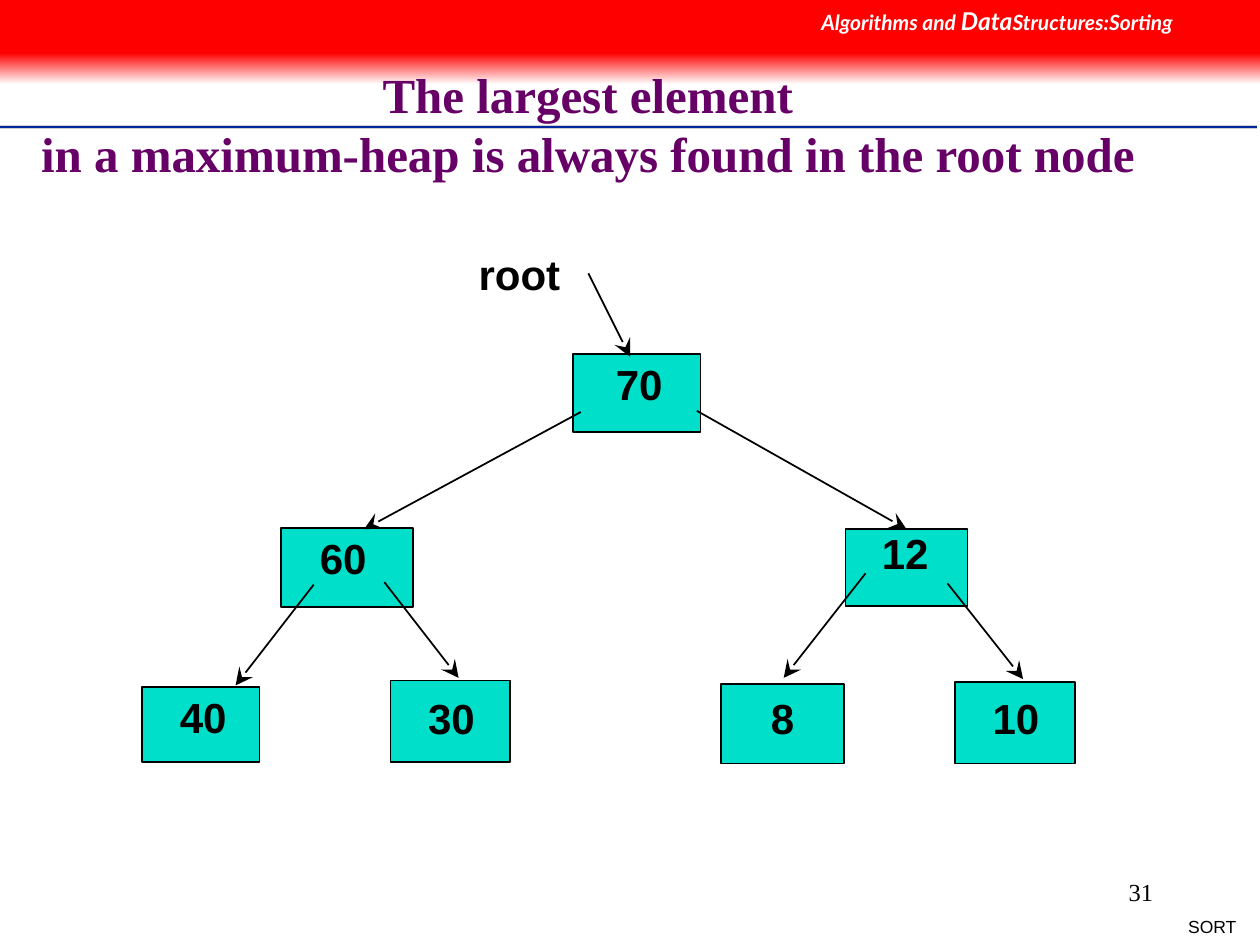
"""Build the slide on the root of a maximum heap."""
import pptx
import pptx.dml.color
import pptx.enum.shapes
import pptx.enum.text
import pptx.oxml
import pptx.oxml.ns
import pptx.util
from pptx.util import Inches

COLORS = {
    "black": "000000", "white": "FFFFFF", "red": "FF0000", "node": "00DFCA",
    "title": "660066", "rule": "00279F", "rule_shade": "CECECE",
}
ALIGN = pptx.enum.text.PP_ALIGN
ANCHOR = pptx.enum.text.MSO_ANCHOR


def rgb(name):
    return pptx.dml.color.RGBColor.from_string(COLORS[name])


class HeapSlide:
    def __init__(self, slide):
        self.slide = slide
        self.shapes = slide.shapes

    def format_run(self, run, size, font="Arial", color="black", bold=False, italic=False):
        run.font.size = pptx.util.Pt(size)
        run.font.name = font
        run.font.color.rgb = rgb(color)
        run.font.bold = bold
        run.font.italic = italic

    def title(self, text, place):
        heading = self.shapes.title
        self.shapes._spTree.append(heading._element)
        heading.left, heading.top, heading.width, heading.height = map(Inches, place)
        frame = heading.text_frame
        frame.text = text
        frame.word_wrap = True
        frame.auto_size = pptx.enum.text.MSO_AUTO_SIZE.NONE
        frame.vertical_anchor = ANCHOR.BOTTOM
        frame.paragraphs[0].alignment = ALIGN.CENTER
        for run in frame.paragraphs[0].runs:
            self.format_run(run, 28, "Times New Roman", "title", bold=True)

    def text(self, pieces, place, align=ALIGN.LEFT, anchor=ANCHOR.TOP, **style):
        frame = self.shapes.add_textbox(*map(Inches, place)).text_frame
        frame.word_wrap = True
        frame.vertical_anchor = anchor
        paragraph = frame.paragraphs[0]
        paragraph.alignment = align
        for words, size in pieces:
            run = paragraph.add_run()
            run.text = words
            self.format_run(run, size, **style)

    def rectangle(self, place, fill, outline=None, fade_to=None):
        box = self.shapes.add_shape(
            pptx.enum.shapes.MSO_SHAPE.RECTANGLE, *map(Inches, place))
        box.shadow.inherit = False
        if fade_to:
            box.fill.gradient()
            box.fill.gradient_angle = 270
            for stop, color in zip(box.fill.gradient_stops, (fill, fade_to)):
                stop.color.rgb = rgb(color)
                stop.position = 0 if color == fill else 1
        else:
            box.fill.solid()
            box.fill.fore_color.rgb = rgb(fill)
        if outline:
            box.line.color.rgb = rgb(outline)
            box.line.width = pptx.util.Pt(1)
        else:
            box.line.fill.background()
        return box

    def node(self, value, place, label_at):
        box = self.rectangle(place, "node", "black")
        self.text([(value, 24)], (*label_at, 0.67, 0.5), bold=True)
        return box

    def line(self, start, end, color="black", width=1, arrow=False):
        connector = self.shapes.add_connector(
            pptx.enum.shapes.MSO_CONNECTOR.STRAIGHT, *map(Inches, (*start, *end)))
        connector.line.color.rgb = rgb(color)
        connector.line.width = pptx.util.Pt(width)
        if arrow:
            tip = pptx.oxml.parse_xml(
                f'<a:tailEnd {pptx.oxml.ns.nsdecls("a")} type="stealth" w="lg" len="lg"/>')
            connector.line._get_or_add_ln().append(tip)
        connector._element.spPr.append(
            pptx.oxml.parse_xml(f'<a:effectLst {pptx.oxml.ns.nsdecls("a")}/>'))
        return connector


def main():
    deck = pptx.Presentation()
    deck.slide_width, deck.slide_height = Inches(10), Inches(7.5)
    heap = HeapSlide(deck.slides.add_slide(deck.slide_layouts[5]))

    for y, color, width in [(1.01, "rule_shade", 2), (1.01, "rule", 1), (1.03, "white", 1)]:
        heap.line((0, y), (9.98, y), color, width)
    heap.rectangle((0, 0.42, 10, 0.25), "red", fade_to="white")
    heap.rectangle((0, 0, 10, 0.42), "red")
    heap.text([("Algorithms and ", 12), ("Data", 14), ("Structures:Sorting", 12)],
              (6.42, 0, 3.58, 0.34), font="Lato", color="white", bold=True, italic=True)
    heap.text([("SORT", 10)], (9.22, 7.22, 0.69, 0.27), ALIGN.RIGHT)
    heap.text([("31", 14)], (7.17, 6.83, 2.08, 0.5), ALIGN.RIGHT, ANCHOR.MIDDLE,
              font="Times New Roman")
    heap.title("The largest element\vin a maximum-heap is always found in the root node",
               (0.01, 0.25, 9.31, 1.25))

    nodes = {
        value: heap.node(value, place, label_at)
        for value, place, label_at in [
            ("70", (4.55, 2.81, 1.01, 0.62), (4.79, 2.8)),
            ("60", (2.23, 4.19, 1.05, 0.63), (2.44, 4.18)),
            ("12", (6.71, 4.2, 0.97, 0.61), (6.9, 4.14)),
            ("40", (1.13, 5.45, 0.93, 0.6), (1.33, 5.44)),
            ("30", (3.1, 5.4, 0.95, 0.65), (3.3, 5.45)),
            ("8", (5.72, 5.43, 0.98, 0.63), (6.02, 5.45)),
            ("10", (7.58, 5.41, 0.95, 0.65), (7.78, 5.45)),
        ]
    }

    heap.text([("root", 24)], (3.7, 1.92, 1.05, 0.5), bold=True)
    for start, end in [
        ((4.67, 2.17), (5, 2.83)),
        ((4.61, 3.27), (2.89, 4.2)),
        ((2.49, 4.64), (1.87, 5.44)),
        ((3.05, 4.62), (3.64, 5.38)),
        ((6.87, 4.55), (6.22, 5.38)),
        ((7.52, 4.63), (8.12, 5.39)),
    ]:
        heap.line(start, end, arrow=True)
    right_branch = heap.line((5.53, 3.26), (7.16, 4.21), arrow=True)
    right_branch.end_connect(nodes["12"], 0)

    deck.save("out.pptx")


if __name__ == "__main__":
    main()
